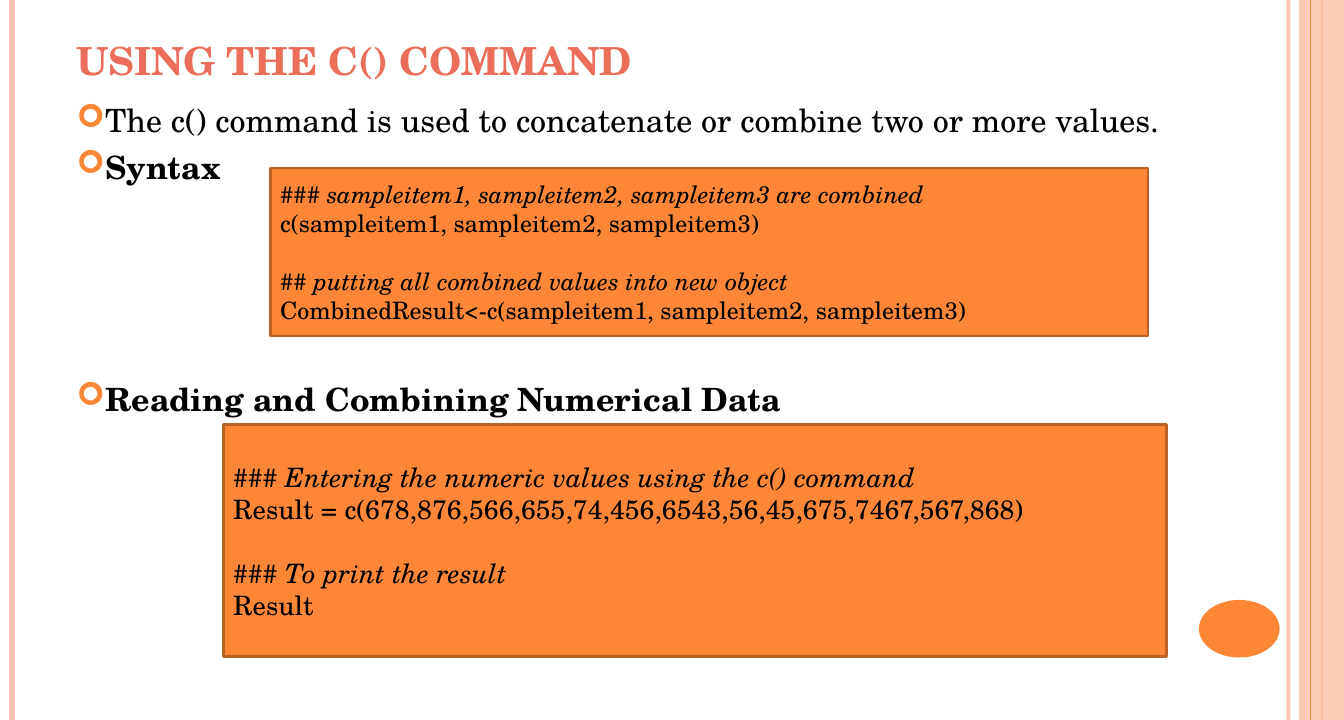
from collections import namedtuple
from dataclasses import dataclass

from lxml.etree import SubElement
from pptx import Presentation
from pptx.dml.color import RGBColor
from pptx.enum.shapes import MSO_CONNECTOR as Connector, MSO_SHAPE as Shape
from pptx.enum.text import MSO_ANCHOR as Anchor, PP_ALIGN as Align
from pptx.oxml.ns import qn
from pptx.util import Inches, Pt

Box = namedtuple("Box", "left top width height")  # percent of the slide's size
WIDTH, HEIGHT = Inches(14), Inches(7.5)
LINE_HEIGHT = 1.2


@dataclass(frozen=True)
class Theme:
    font: str = "TeX Gyre Schola"
    bullet_font: str = "Wingdings"
    ring_bullet: str = "¢"  # a bold ring in the bullet font
    ink: str = "000000"
    heading: str = "EB6E5A"
    accent: str = "FE8637"
    pale: str = "FEC3AE"
    outline: str = "BB6126"
    title_size: int = 29
    body_size: int = 24
    syntax_size: int = 18
    example_size: int = 20


THEME = Theme()


def rgb(code):
    return RGBColor.from_string(code)


def across(share):
    return round(WIDTH * share / 100)


def down(share):
    return round(HEIGHT * share / 100)


def frame(box):
    return across(box.left), down(box.top), across(box.width), down(box.height)


def set_opacity(fill_parent, percent):
    color = next(fill_parent.iter(qn("a:srgbClr")))
    SubElement(color, qn("a:alpha"), val=str(percent * 1000))


def add_stripe(slide, box, share, weight, color, opacity=100):
    """Draw a vertical line at a share of the box's width."""
    x = across(box.left + box.width * share)
    stripe = slide.shapes.add_connector(
        Connector.STRAIGHT, x, down(box.top), x, down(box.top + box.height))
    stripe.line.width = Pt(weight)
    stripe.line.color.rgb = rgb(color)
    properties = stripe.line._get_or_add_ln().getparent()
    SubElement(properties, qn("a:effectLst"))
    if opacity < 100:
        set_opacity(properties, opacity)


def add_block(slide, box, kind, color, outline=None):
    block = slide.shapes.add_shape(kind, *frame(box))
    block.shadow.inherit = False
    block.fill.solid()
    block.fill.fore_color.rgb = rgb(color)
    if outline:
        block.line.color.rgb = rgb(outline)
        block.line.width = Pt(2)
    else:
        block.line.fill.background()
    return block


def write(paragraph, text, size, color=THEME.ink, bold=False, italic=False, before=0):
    paragraph.alignment = Align.LEFT
    paragraph.space_before = Pt(before)
    run = paragraph.add_run()
    run.text = text
    font = run.font
    font.name, font.size, font.bold, font.italic = THEME.font, Pt(size), bold, italic
    font.color.rgb = rgb(color)


def next_paragraph(text_frame, index):
    return text_frame.add_paragraph() if index else text_frame.paragraphs[0]


def add_bullet(paragraph):
    properties = paragraph._p.get_or_add_pPr()
    indent = Inches(0.29)
    properties.set("marL", str(indent))
    properties.set("indent", str(-indent))
    bullet_color = SubElement(properties, qn("a:buClr"))
    SubElement(bullet_color, qn("a:srgbClr"), val=THEME.accent)
    SubElement(properties, qn("a:buFont"), typeface=THEME.bullet_font, charset="2")
    SubElement(properties, qn("a:buChar"), char=THEME.ring_bullet)


def add_text_area(slide, box, anchor):
    text_frame = slide.shapes.add_textbox(*frame(box)).text_frame
    text_frame.word_wrap = True
    text_frame.vertical_anchor = anchor
    return text_frame


def add_left_edge(slide, box):
    add_stripe(slide, box, 0, 4.5, THEME.pale)


def add_right_edge(slide, box):
    add_stripe(slide, box, 0, 3, THEME.pale, opacity=93)
    add_stripe(slide, box, 0.6, 1.5, THEME.accent)
    band_offset = box.width * 0.19
    band = add_block(slide, box._replace(left=box.left + band_offset,
                                         width=box.width - band_offset),
                     Shape.RECTANGLE, THEME.pale)
    set_opacity(band.fill._xPr, 87)
    add_stripe(slide, box, 0.4, 0.75, THEME.accent)


def add_title(slide, box, text):
    title = add_text_area(slide, box, Anchor.BOTTOM)
    write(title.paragraphs[0], text, THEME.title_size, color=THEME.heading, bold=True)


def add_topics(slide, box, topics):
    """Write bulleted topics, each a text, its boldness and the lines kept free above."""
    area = add_text_area(slide, box, Anchor.TOP)
    gap = 6
    pitch = THEME.body_size * LINE_HEIGHT + gap
    for index, (text, bold, free_lines) in enumerate(topics):
        paragraph = next_paragraph(area, index)
        before = gap + free_lines * pitch if index else 0
        write(paragraph, text, THEME.body_size, bold=bold, before=before)
        add_bullet(paragraph)


def add_code_panel(slide, box, steps, size):
    """Write pairs of comment and code, one line apart."""
    panel = add_block(slide, box, Shape.RECTANGLE, THEME.accent, THEME.outline).text_frame
    panel.word_wrap = True
    panel.vertical_anchor = Anchor.MIDDLE
    for index, (comment, code) in enumerate(steps):
        write(next_paragraph(panel, index), comment, size, italic=True,
              before=size * LINE_HEIGHT if index else 0)
        write(panel.add_paragraph(), code, size)


def main():
    deck = Presentation()
    deck.slide_width, deck.slide_height = WIDTH, HEIGHT
    slide = deck.slides.add_slide(deck.slide_layouts[6])

    add_left_edge(slide, Box(0.86, 0, 1, 100))
    add_right_edge(slide, Box(95.86, 0, 4.14, 100))
    add_block(slide, Box(89.21, 83.33, 6, 8), Shape.OVAL, THEME.accent)
    add_title(slide, Box(5, 4, 90.14, 8.27), "USING THE C() COMMAND")
    add_topics(slide, Box(5, 13.33, 91.5, 81.07), [
        ("The c() command is used to concatenate or combine two or more values.", False, 0),
        ("Syntax", True, 0),
        ("Reading and Combining Numerical Data", True, 4),
    ])
    add_code_panel(slide, Box(20.14, 23.33, 65.29, 23.33), [
        ("### sampleitem1, sampleitem2, sampleitem3 are combined",
         "c(sampleitem1, sampleitem2, sampleitem3)"),
        ("## putting all combined values into new object",
         "CombinedResult<-c(sampleitem1, sampleitem2, sampleitem3)"),
    ], THEME.syntax_size)
    add_code_panel(slide, Box(16.64, 58.93, 70.14, 32.27), [
        ("### Entering the numeric values using the c() command",
         "Result = c(678,876,566,655,74,456,6543,56,45,675,7467,567,868)"),
        ("### To print the result", "Result"),
    ], THEME.example_size)

    deck.save("out.pptx")


if __name__ == "__main__":
    main()
